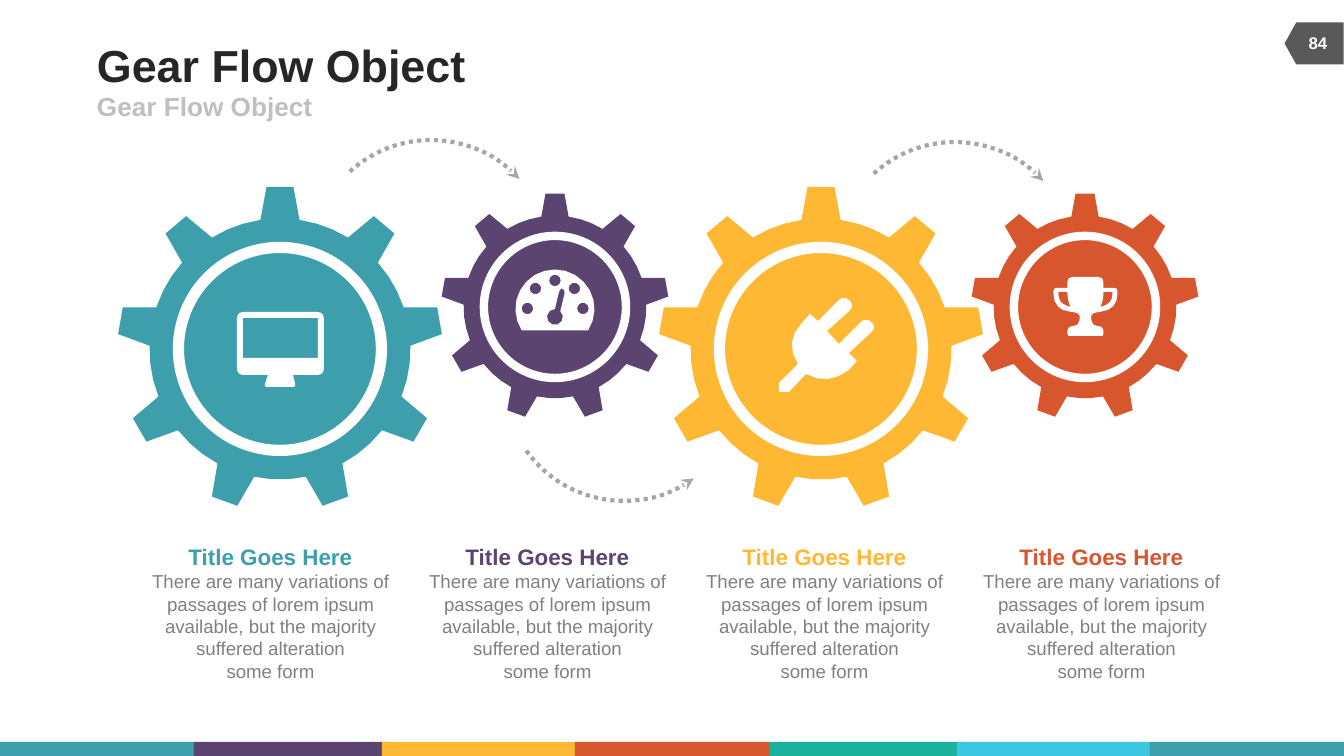
import math

import lxml.etree
import pptx
import pptx.dml.color
import pptx.enum.dml
import pptx.enum.shapes
import pptx.enum.text
import pptx.oxml.ns
import pptx.util

RGB = pptx.dml.color.RGBColor
SHAPE = pptx.enum.shapes.MSO_SHAPE
ALIGN = pptx.enum.text.PP_ALIGN
ANCHOR = pptx.enum.text.MSO_ANCHOR
qn = pptx.oxml.ns.qn

TEAL = RGB(0x3D, 0x9F, 0xAC)
PURPLE = RGB(0x5B, 0x44, 0x70)
YELLOW = RGB(0xFE, 0xB8, 0x34)
ORANGE = RGB(0xD7, 0x56, 0x2E)
GREEN = RGB(0x1B, 0xB2, 0x9C)
CYAN = RGB(0x3B, 0xC7, 0xE2)
WHITE = RGB(0xFF, 0xFF, 0xFF)
INK = RGB(0x26, 0x26, 0x26)
BADGE = RGB(0x59, 0x59, 0x59)
BODY = RGB(0x80, 0x80, 0x80)
ARROW = RGB(0xA6, 0xA6, 0xA6)
SUBTITLE = RGB(0xBF, 0xBF, 0xBF)

EMU_PER_PX = 914400 / 134.4


def emu(px):
    return pptx.util.Emu(round(px * EMU_PER_PX))


def arc(cx, cy, radius, start, end, steps):
    """Corner points along an arc, angles in degrees clockwise from the right."""
    angles = [math.radians(start + (end - start) * i / steps) for i in range(steps + 1)]
    return [(cx + radius * math.cos(a), cy + radius * math.sin(a), 0) for a in angles]


def rounded(corners):
    """Outline through (x, y, radius) corners, each rounded by a quadratic curve."""
    outline = []
    for i, (x, y, radius) in enumerate(corners):
        if not radius:
            outline.append((x, y))
            continue
        ends = []
        for nx, ny, _ in (corners[i - 1], corners[(i + 1) % len(corners)]):
            part = min(1, radius / math.hypot(nx - x, ny - y))
            ends.append((x + (nx - x) * part, y + (ny - y) * part))
        (ax, ay), (bx, by) = ends
        steps = 2 if radius < 6 else 4
        for t in (step / steps for step in range(steps + 1)):
            a, c, b = (1 - t) ** 2, 2 * t * (1 - t), t * t
            outline.append((a * ax + c * x + b * bx, a * ay + c * y + b * by))
    return outline


class Deck:
    font = "Arial"

    def __init__(self, width, height):
        self.presentation = pptx.Presentation()
        self.presentation.slide_width = emu(width)
        self.presentation.slide_height = emu(height)
        self.slide = self.presentation.slides.add_slide(self.presentation.slide_layouts[6])

    def finish(self, shape, fill, line=None, line_width=0):
        shape.shadow.inherit = False
        if fill is None:
            shape.fill.background()
        else:
            shape.fill.solid()
            shape.fill.fore_color.rgb = fill
        if line is None:
            shape.line.fill.background()
        else:
            shape.line.color.rgb = line
            shape.line.width = pptx.util.Pt(line_width)
        return shape

    def preset(self, kind, left, top, width, height, fill, line=None, line_width=0):
        shape = self.slide.shapes.add_shape(kind, emu(left), emu(top), emu(width), emu(height))
        return self.finish(shape, fill, line, line_width)

    def outline(self, contours, fill):
        builder = None
        for contour in contours:
            points = [(emu(x), emu(y)) for x, y in rounded(contour)]
            if builder is None:
                builder = self.slide.shapes.build_freeform(*points[0], scale=1.0)
            else:
                builder.move_to(*points[0])
            builder.add_line_segments(points[1:], close=True)
        return self.finish(builder.convert_to_shape(), fill)

    def gear(self, cx, cy, size, color, ring_width, teeth=9):
        corners = []
        pitch = 360 / teeth
        for tooth in range(teeth):
            turn = math.radians(tooth * pitch)
            for across, out in ((-19.5, 129), (-13.5, 162), (13.5, 162), (19.5, 129)):
                across, out = across * size, out * size
                corners.append((cx + across * math.cos(turn) + out * math.sin(turn),
                                cy + across * math.sin(turn) - out * math.cos(turn), 0))
            start = tooth * pitch - 90
            corners += arc(cx, cy, 130.5 * size, start + 9, start + pitch - 9, 3)[1:-1]
        self.outline([corners], color)
        radius = 101.5 * size
        self.preset(SHAPE.OVAL, cx - radius, cy - radius, 2 * radius, 2 * radius,
                    color, WHITE, ring_width)

    def curved_arrow(self, cx, cy, radius, rotation, flip=False):
        shape = self.preset(SHAPE.ARC, cx - radius, cy - radius, 2 * radius, 2 * radius,
                            None, ARROW, 2.25)
        shape.rotation = rotation
        if flip:
            shape._element.spPr.find(qn("a:xfrm")).set("flipV", "1")
        shape.line.dash_style = pptx.enum.dml.MSO_LINE.ROUND_DOT
        line = shape._element.spPr.find(qn("a:ln"))
        lxml.etree.SubElement(line, qn("a:tailEnd")).set("type", "stealth")

    def text(self, words, left, top, width, height, size, color, bold=False,
             align=ALIGN.CENTER, anchor=ANCHOR.MIDDLE, wrap=True):
        box = self.slide.shapes.add_textbox(emu(left), emu(top), emu(width), emu(height))
        frame = box.text_frame
        frame.word_wrap = wrap
        frame.vertical_anchor = anchor
        frame.margin_left = frame.margin_right = frame.margin_top = frame.margin_bottom = 0
        paragraph = frame.paragraphs[0]
        paragraph.text = words
        paragraph.alignment = align
        for run in paragraph.runs:
            run.font.name = self.font
            run.font.size = pptx.util.Pt(size)
            run.font.bold = bold
            run.font.color.rgb = color
        # A line break has its own size
        for line_break in paragraph._p.findall(qn("a:br")):
            lxml.etree.SubElement(line_break, qn("a:rPr")).set("sz", str(size * 100))


def trophy_icon(cx):
    half = [(0, 277, 0), (18, 277, 5), (18, 288, 0), (32, 288, 3), (32, 310, 17),
            (13, 312, 0), (5, 314, 4), (7, 326, 5), (18, 326, 6), (18, 336, 2), (0, 336, 0)]
    handle = [(18, 292, 0), (27, 292, 0), (27, 303, 9), (15, 307, 0), (18, 299, 6)]

    def side(corners, sign):
        return [(cx + sign * x, y, radius) for x, y, radius in corners]

    return [side(half, 1) + side(half, -1)[-2:0:-1], side(handle, 1), side(handle, -1)]


def gauge_icon():
    dots = [(527.5, 308.5), (535.5, 288.5), (555, 280.5), (574.5, 288.5), (583, 308.5)]
    needle = arc(555, 317, 8, -48, 270, 8) + [(559, 292, 0), (562, 287, 3), (565, 292, 2)]
    holes = [arc(x, y, 5.8, 0, 324, 9) for x, y in dots]
    return [arc(555, 309, 39.5, 147, 393, 16), needle] + holes


MONITOR_ICON = [
    [(237, 312, 7), (324, 312, 7), (324, 375, 7), (293, 375, 0), (296, 387, 3),
     (264, 387, 3), (268, 375, 0), (237, 375, 7)],
    [(243, 318, 0), (318, 318, 0), (318, 358, 0), (243, 358, 0)],
]
PLUG_ICON = [
    [(802, 323, 0), (810, 314, 0), (818, 321, 0), (844, 295, 8), (855, 306, 8),
     (827, 331, 0), (839, 344, 0), (866, 317, 8), (877, 327, 8), (849, 353, 0),
     (857, 361, 0), (849, 370, 0), (828, 386, 99), (806, 374, 0), (789, 392, 0),
     (779, 392, 0), (779, 383, 0), (798, 364, 0), (784, 342, 99)],
]


def main():
    deck = Deck(1344, 756)

    # Footer stripe
    stripe_colors = (TEAL, PURPLE, YELLOW, ORANGE, GREEN, CYAN, TEAL)
    for left, color in zip((0, 194, 382, 575, 769, 957, 1150), stripe_colors):
        deck.preset(SHAPE.RECTANGLE, left, 742, 194, 14, color)

    # Heading and page number
    badge = deck.preset(SHAPE.FLOWCHART_OFFPAGE_CONNECTOR, 1293, 14, 42, 59, BADGE)
    badge.rotation = 90
    deck.text("Gear Flow Object", 97, 39, 829, 52, 24, INK, True, ALIGN.LEFT, wrap=False)
    deck.text("Gear Flow Object", 97, 91, 605, 30, 14, SUBTITLE, True, ALIGN.LEFT, wrap=False)
    deck.text("84", 1290, 23, 56, 40, 9, WHITE, True)

    # Gears
    colors = (TEAL, PURPLE, YELLOW, ORANGE)
    for i, (cx, color) in enumerate(zip((280, 555, 821, 1085), colors)):
        if i % 2 == 0:
            deck.gear(cx, 349, 1, color, 6)
        else:
            deck.gear(cx, 307, 0.7, color, 4.5)

    # Flow arrows
    deck.curved_arrow(431, 260, 120, 317.5)
    deck.curved_arrow(955, 262, 120, 317.5)
    deck.curved_arrow(624, 381, 120, 54.4, flip=True)

    # Icons
    for icon in (MONITOR_ICON, gauge_icon(), PLUG_ICON, trophy_icon(1085.5)):
        deck.outline(icon, WHITE)

    # Captions
    caption = ("There are many variations of passages of lorem ipsum available, "
               "but the majority suffered alteration\vsome form")
    for i, color in enumerate(colors):
        left = 149 + 277 * i
        deck.text("Title Goes Here", left, 543, 243, 27, 12, color, True)
        deck.text(caption, left, 570, 243, 113, 10, BODY, anchor=ANCHOR.TOP)

    deck.presentation.save("out.pptx")


if __name__ == "__main__":
    main()
